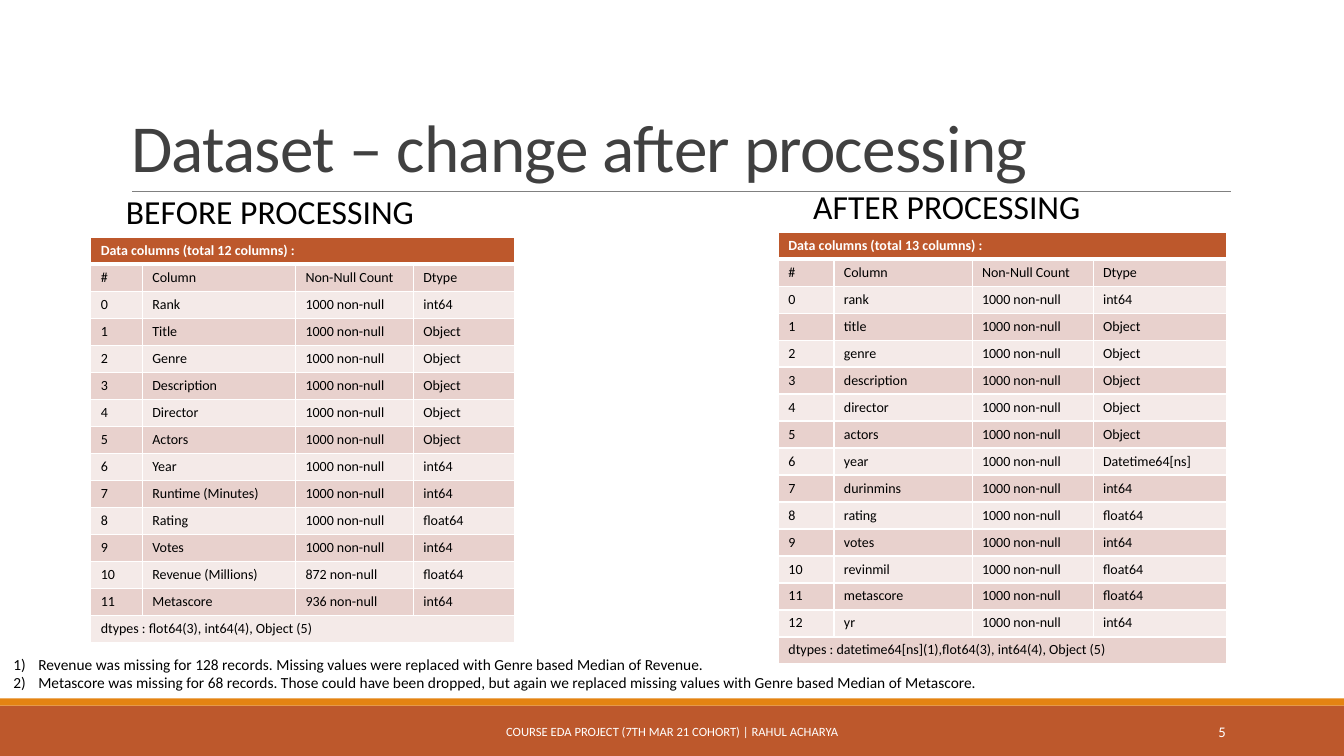
from lxml.etree import SubElement
from pptx import Presentation
from pptx.dml.color import RGBColor
from pptx.enum.shapes import MSO_CONNECTOR, MSO_SHAPE
from pptx.enum.text import MSO_ANCHOR, MSO_AUTO_SIZE, PP_ALIGN
from pptx.oxml.ns import qn
from pptx.util import Cm, Pt

FONT = "Calibri"
RUST, AMBER, WHITE, BLACK = "BD582C", "E48312", "FFFFFF", "000000"
BANDS = ["F4EAE8", "E8D1CD"]
ROW = 0.68

HEADS = ["#", "Column", "Non-Null Count", "Dtype"]
FULL = "1000 non-null"
BEFORE = [
    ("Rank", FULL, "int64"),
    ("Title", FULL, "Object"),
    ("Genre", FULL, "Object"),
    ("Description", FULL, "Object"),
    ("Director", FULL, "Object"),
    ("Actors", FULL, "Object"),
    ("Year", FULL, "int64"),
    ("Runtime (Minutes)", FULL, "int64"),
    ("Rating", FULL, "float64"),
    ("Votes", FULL, "int64"),
    ("Revenue (Millions)", "872 non-null", "float64"),
    ("Metascore", "936 non-null", "int64"),
]
AFTER = [
    ("rank", FULL, "int64"),
    ("title", FULL, "Object"),
    ("genre", FULL, "Object"),
    ("description", FULL, "Object"),
    ("director", FULL, "Object"),
    ("actors", FULL, "Object"),
    ("year", FULL, "Datetime64[ns]"),
    ("durinmins", FULL, "int64"),
    ("rating", FULL, "float64"),
    ("votes", FULL, "int64"),
    ("revinmil", FULL, "float64"),
    ("metascore", FULL, "float64"),
    ("yr", FULL, "int64"),
]
NOTES = [
    "Revenue was missing for 128 records. Missing values were replaced "
    "with Genre based Median of Revenue.",
    "Metascore was missing for 68 records. Those could have been dropped, "
    "but again we replaced missing values with Genre based Median of Metascore.",
]


def color(code):
    return RGBColor.from_string(code)


def style(frame, size, code, bold=False, align=PP_ALIGN.LEFT, lead=1.0):
    for para in frame.paragraphs:
        para.alignment = align
        para.line_spacing = lead
        para.space_before = Pt(0)
        for run in para.runs:
            font = run.font
            font.name, font.size, font.bold = FONT, Pt(size), bold
            font.color.rgb = color(code)


def place(shape, box, anchor):
    """Move a text shape and fix how its text sits."""
    shape.left, shape.top, shape.width, shape.height = map(Cm, box)
    frame = shape.text_frame
    frame.word_wrap = True
    frame.auto_size = MSO_AUTO_SIZE.NONE
    frame.vertical_anchor = anchor
    return frame


def fill_in(holder, text, box, size, code, lead):
    frame = place(holder, box, MSO_ANCHOR.BOTTOM)
    frame.text = text
    style(frame, size, code, lead=lead)
    return frame


def add_label(slide, text, box, size, align):
    frame = place(slide.shapes.add_textbox(0, 0, 0, 0), box, MSO_ANCHOR.MIDDLE)
    frame.text = text
    style(frame, size, WHITE, align=align)


def add_bar(slide, top, height, code):
    bar = slide.shapes.add_shape(
        MSO_SHAPE.RECTANGLE, 0, Cm(top), Cm(33.87), Cm(height))
    bar.shadow.inherit = False
    bar.fill.solid()
    bar.fill.fore_color.rgb = color(code)
    bar.line.fill.background()


def add_rule(slide, left, right, top):
    rule = slide.shapes.add_connector(
        MSO_CONNECTOR.STRAIGHT, Cm(left), Cm(top), Cm(right), Cm(top))
    rule.line.color.rgb = color("808080")
    rule.line.width = Pt(0.5)
    SubElement(rule.element.spPr, qn("a:effectLst"))


def add_edges(cell, widths):
    """Draw white borders; widths maps each side to points."""
    props = cell._tc.get_or_add_tcPr()
    for side, width in widths.items():
        edge = SubElement(props, qn(f"a:ln{side}"), w=str(Pt(width)))
        paint = SubElement(edge, qn("a:solidFill"))
        SubElement(paint, qn("a:srgbClr"), val=WHITE)


def add_grid(slide, left, top, widths, data, types):
    """Table with a spanning header, banded rows and a spanning last row."""
    rows = [[f"Data columns (total {len(data)} columns) :"], HEADS]
    rows += [[str(i), *item] for i, item in enumerate(data)]
    rows.append([f"dtypes : {types}"])
    table = slide.shapes.add_table(
        len(rows), len(widths), Cm(left), Cm(top),
        Cm(sum(widths)), Cm(ROW * len(rows))).table
    for col, width in zip(table.columns, widths):
        col.width = Cm(width)
    for r, texts in enumerate(rows):
        table.rows[r].height = Cm(ROW)
        for c in range(len(widths)):
            cell = table.cell(r, c)
            add_edges(cell, {"L": 1, "R": 1, "T": 3 if r == 1 else 1,
                             "B": 3 if r == 0 else 1})
            cell.fill.solid()
            cell.fill.fore_color.rgb = color(BANDS[r % 2] if r else RUST)
            cell.margin_left = cell.margin_right = Cm(0.25)
            cell.margin_top = cell.margin_bottom = Cm(0.12)
            if c < len(texts):
                cell.text_frame.text = texts[c]
            style(cell.text_frame, 10, BLACK if r else WHITE, bold=r == 0)
        if len(texts) == 1:
            table.cell(r, 0).merge(table.cell(r, len(widths) - 1))


def add_notes(holder):
    frame = place(holder, (0.08, 16.38, 25.7, 1.19), MSO_ANCHOR.TOP)
    frame.text = "\n".join(NOTES)
    style(frame, 11, BLACK)
    for para in frame.paragraphs:
        props = para._p.get_or_add_pPr()
        props.set("marL", str(Cm(0.63)))
        props.set("indent", str(-Cm(0.63)))
        SubElement(props, qn("a:buFont"), typeface="+mj-lt")
        SubElement(props, qn("a:buAutoNum"), type="arabicParenR")


def main():
    deck = Presentation()
    deck.slide_width, deck.slide_height = Cm(33.87), Cm(19.05)
    slide = deck.slides.add_slide(deck.slide_layouts.get_by_name("Comparison"))
    title, left, notes, right, spare = slide.placeholders
    spare.element.getparent().remove(spare.element)

    # Footer bands and title rule
    add_bar(slide, 17.78, 1.27, RUST)
    add_bar(slide, 17.6, 0.18, AMBER)
    add_rule(slide, 3.33, 31.01, 4.83)

    # Title and headings
    frame = fill_in(title, "Dataset – change after processing",
                    (3.05, 0.79, 27.94, 4.04), 48, "404040", 0.85)
    frame.paragraphs[0].runs[0].font._element.set("spc", "-50")
    fill_in(left, "BEFORE PROCESSING", (2.92, 3.68, 12.93, 2.29), 24, BLACK, 0.9)
    fill_in(right, "AFTER PROCESSING", (20.24, 3.56, 12.9, 2.29), 24, BLACK, 0.9)

    # Column tables
    add_grid(slide, 2.29, 5.98, [1.3, 3.86, 2.97, 2.54], BEFORE,
             "flot64(3), int64(4), Object (5)")
    add_grid(slide, 19.62, 5.85, [1.4, 3.48, 3.05, 3.35], AFTER,
             "datetime64[ns](1),flot64(3), int64(4), Object (5)")

    # Notes and footer text
    add_notes(notes)
    add_label(slide, "COURSE EDA PROJECT (7TH MAR 21 COHORT) | RAHUL ACHARYA",
              (10.24, 17.93, 13.39, 1.02), 9, PP_ALIGN.CENTER)
    add_label(slide, "5", (27.51, 17.93, 3.63, 1.02), 10.5, PP_ALIGN.RIGHT)

    deck.save("out.pptx")


main()
